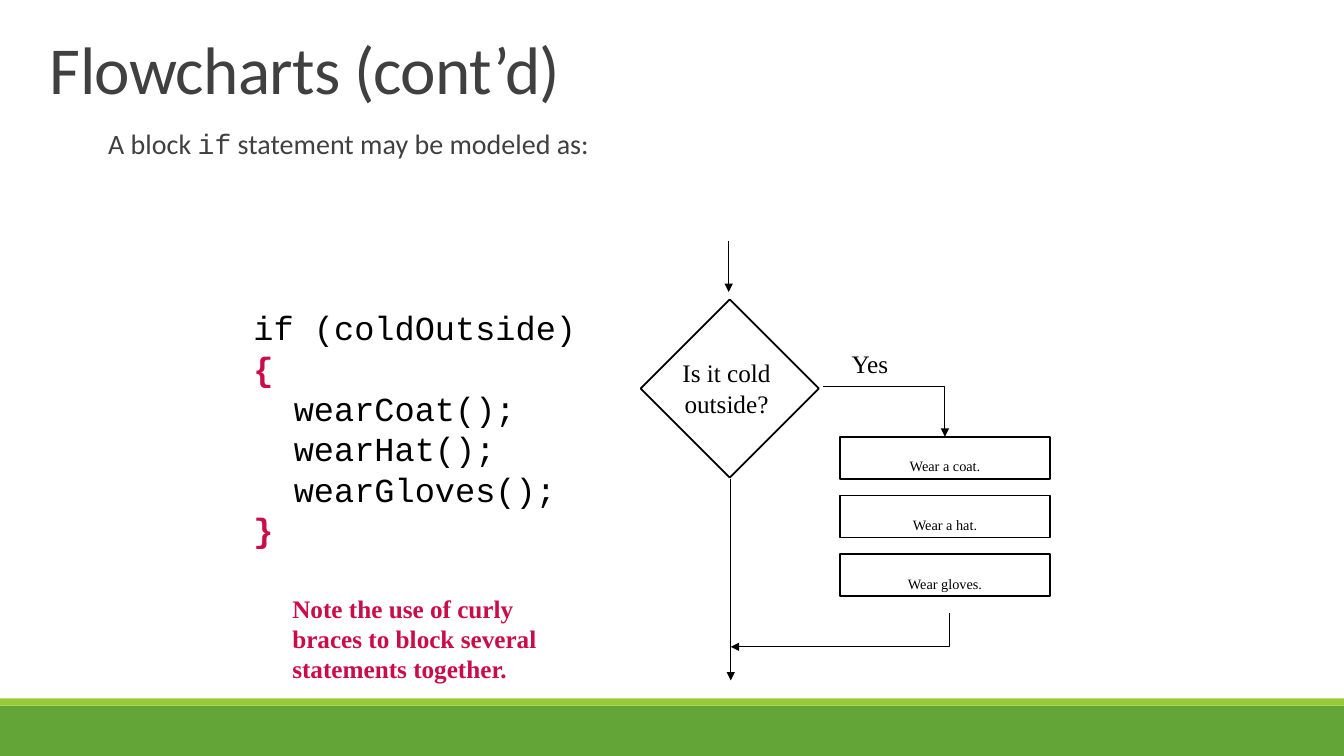
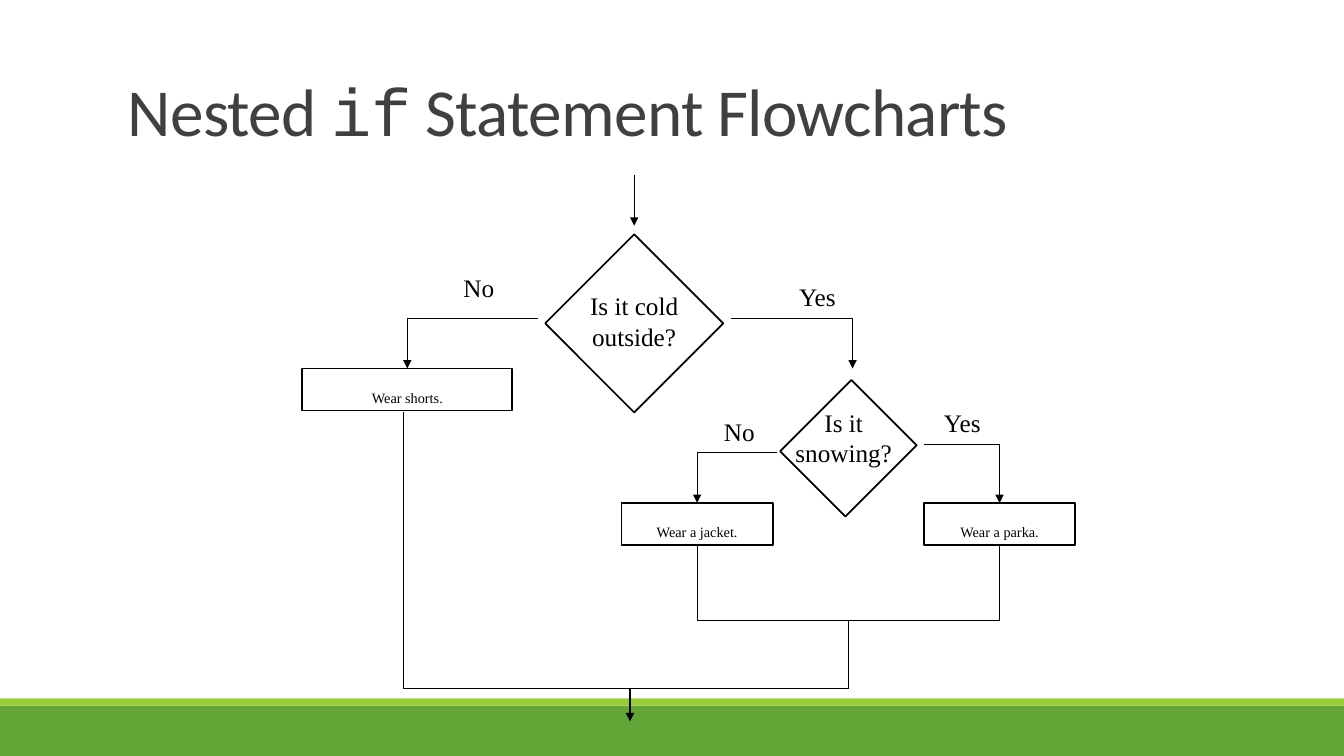
import pptx
import pptx.dml.color
import pptx.enum.dml
import pptx.enum.shapes
import pptx.enum.text
import pptx.oxml
import pptx.oxml.ns
import pptx.util
from lxml import etree

PX = 9525
SLIDE_W, SLIDE_H = 1280, 720
COLORS = {
    "band": "63A537",
    "stripe": "99CB38",
    "heading": "404040",
    "ink": "000000",
    "paper": "FFFFFF",
    "accent": "CA0C48",
}
SANS, MONO, SERIF = "Calibri", "Courier New", "Times New Roman"
SHAPES = pptx.enum.shapes.MSO_SHAPE
CONNECTORS = pptx.enum.shapes.MSO_CONNECTOR
ANCHOR = pptx.enum.text.MSO_ANCHOR
ALIGN = pptx.enum.text.PP_ALIGN
AUTO = pptx.enum.text.MSO_AUTO_SIZE
TOP, BOTTOM = 0, 2


def emu(*lengths):
    return [pptx.util.Emu(length * PX) for length in lengths]


def rgb(name):
    return pptx.dml.color.RGBColor.from_string(COLORS[name])


def style(paragraph, face, size, color="ink", bold=False, align=ALIGN.LEFT):
    font = paragraph.font
    font.name, font.size, font.bold = face, pptx.util.Pt(size), bold
    font.color.rgb = rgb(color)
    paragraph.alignment = align


def write_with_code(paragraph, text):
    for index, piece in enumerate(text.split("`")):
        run = paragraph.add_run()
        run.text = piece
        if index % 2:
            run.font.name = MONO


def place(shape, *box):
    shape.left, shape.top, shape.width, shape.height = emu(*box)


def add_rect(shapes, box, fill="paper", outlined=True):
    rect = shapes.add_shape(SHAPES.RECTANGLE, *emu(*box))
    rect.shadow.inherit = False
    rect.fill.solid()
    rect.fill.fore_color.rgb = rgb(fill)
    if outlined:
        rect.line.color.rgb = rgb("ink")
        rect.line.width = pptx.util.Pt(1.25)
    else:
        rect.line.fill.background()
    return rect


def add_bands(prs, slide):
    master_tree = prs.slide_master.shapes._spTree
    for top, height, fill in ((672, 48, "band"), (665, 7, "stripe")):
        band = add_rect(slide.shapes, (0, top, SLIDE_W, height), fill, False)
        master_tree.append(band._element)


def add_title(slide, text, left, top):
    title = slide.shapes.title
    place(title, left, top, 1104, 139)
    frame = title.text_frame
    frame.vertical_anchor = ANCHOR.BOTTOM
    frame.auto_size = AUTO.NONE
    heading = frame.paragraphs[0]
    style(heading, SANS, 48, "heading")
    heading.font._rPr.set("spc", "-50")
    heading.line_spacing = 0.85
    write_with_code(heading, text)


def add_intro(slide, text):
    body = slide.placeholders[1]
    place(body, 93, 119, 871, 108)
    frame = body.text_frame
    frame.auto_size = AUTO.NONE
    frame.margin_left = frame.margin_right = 0
    intro = frame.paragraphs[0]
    style(intro, SANS, 20, "heading")
    intro.line_spacing = 0.9
    intro.space_before, intro.space_after = pptx.util.Pt(12), pptx.util.Pt(2)
    properties = intro._p.get_or_add_pPr()
    properties.set("marL", str(10 * PX))
    properties.set("indent", "0")
    no_bullet = etree.Element(pptx.oxml.ns.qn("a:buNone"))
    properties.find(pptx.oxml.ns.qn("a:defRPr")).addprevious(no_bullet)
    write_with_code(intro, text)


def add_text(shapes, box, lines, face=SERIF, size=18, wrap=False,
             align=ALIGN.LEFT, color="ink", bold=False):
    frame = shapes.add_textbox(*emu(*box)).text_frame
    frame.word_wrap = wrap
    frame.auto_size = AUTO.SHAPE_TO_FIT_TEXT
    frame.text = "\n".join(lines)
    for paragraph in frame.paragraphs:
        style(paragraph, face, size, color, bold, align)
    return frame


def add_label(chart, text, left, top):
    width, align = (57, ALIGN.CENTER) if text == "Yes" else (49, ALIGN.LEFT)
    add_text(chart, (left, top, width, 38), [text], align=align)


def add_decision(chart, box, lines, text_box):
    add_rect(chart, box).rotation = 45
    add_text(chart, text_box, lines, align=ALIGN.CENTER)


def add_action(chart, text, left, top, width=200):
    action = add_rect(chart, (left, top, width, 40))
    frame = action.text_frame
    frame.word_wrap = False
    frame.vertical_anchor = ANCHOR.BOTTOM
    frame.margin_bottom = pptx.util.Emu(4 * PX)
    frame.text = text
    style(frame.paragraphs[0], SERIF, 10.2, align=ALIGN.CENTER)
    return action


def add_line(chart, start, end, arrow=None, kind=CONNECTORS.STRAIGHT):
    line = chart.add_connector(kind, *emu(*start, *end))
    line.line.color.rgb = rgb("ink")
    line.line.width = pptx.util.Pt(0.75)
    qn = pptx.oxml.ns.qn
    if arrow:
        stroke = line.line._get_or_add_ln()
        etree.SubElement(stroke, qn("a:" + arrow), type="triangle")
    etree.SubElement(line._element.spPr, qn("a:effectLst"))
    return line


def add_elbow(chart, start, end, arrow="tailEnd"):
    elbow = add_line(chart, start, end, arrow, CONNECTORS.ELBOW)
    geometry = elbow._element.spPr.find(pptx.oxml.ns.qn("a:prstGeom"))
    geometry.set("prst", "bentConnector2")


def build_block_if(slide):
    add_title(slide, "Flowcharts (cont’d)", 38, -31)
    add_intro(slide, "A block `if` statement may be modeled as:")

    chart = slide.shapes.add_group_shape().shapes
    add_decision(chart, (635, 310, 120, 120), ["Is it cold", "outside?"],
                 (640, 336, 104, 67))
    for row, item in enumerate(("a coat", "a hat", "gloves")):
        add_action(chart, f"Wear {item}.", 800, 416 + 56 * row)
    add_elbow(chart, (784, 368), (900, 416))
    add_label(chart, "Yes", 800, 327)
    add_line(chart, (696, 456), (696, 648), "tailEnd")
    add_elbow(chart, (696, 616), (904, 584), "headEnd")
    add_line(chart, (694, 230), (694, 278), "tailEnd")

    code = add_text(slide.shapes, (232, 288, 344, 242),
                    ["if (coldOutside)", "{", "  wearCoat();", "  wearHat();",
                     "  wearGloves();", "}"], MONO, 24, wrap=True)
    for line in code.paragraphs:
        if line.text in ("{", "}"):
            style(line, MONO, 24, "accent", bold=True)
    add_text(slide.shapes, (269, 560, 252, 96),
             ["Note the use of curly", "braces to block several",
              "statements together."], color="accent", bold=True)


def build_nested_if(slide):
    add_title(slide, "Nested `if` Statement Flowcharts", 112, 9)

    chart = slide.shapes.add_group_shape().shapes
    add_decision(chart, (544, 248, 120, 120), ["Is it cold", "outside?"],
                 (552, 272, 104, 67))
    add_decision(chart, (764, 379, 88, 96), ["Is it", "snowing?"],
                 (748, 383, 111, 67))
    add_action(chart, "Wear shorts.", 288, 351)
    for text, left in (("Wear a jacket.", 592), ("Wear a parka.", 880)):
        action = add_action(chart, text, left, 479, 144)
        center = left + 72
        down = add_line(chart, (center, 519), (center, 591))
        down.begin_connect(action, BOTTOM)

    for start, end in (((696, 303), (812, 351)), ((512, 303), (388, 351)),
                       ((740, 431), (664, 479)), ((880, 423), (952, 479))):
        add_elbow(chart, start, end)
    for text, left, top in (("Yes", 750, 263), ("Yes", 888, 383),
                            ("No", 432, 255), ("No", 680, 392)):
        add_label(chart, text, left, top)

    for start, end in (((384, 392), (384, 656)), ((664, 591), (952, 591)),
                       ((808, 591), (808, 656)), ((384, 656), (808, 656))):
        add_line(chart, start, end)
    for start, end in (((604, 167), (604, 215)), ((600, 656), (600, 687))):
        add_line(chart, start, end, "tailEnd")


def main():
    prs = pptx.Presentation()
    prs.slide_width, prs.slide_height = emu(SLIDE_W, SLIDE_H)
    block_if = prs.slides.add_slide(prs.slide_layouts[1])
    nested_if = prs.slides.add_slide(prs.slide_layouts[5])
    add_bands(prs, block_if)
    build_block_if(block_if)
    build_nested_if(nested_if)
    prs.save("out.pptx")


if __name__ == "__main__":
    main()
